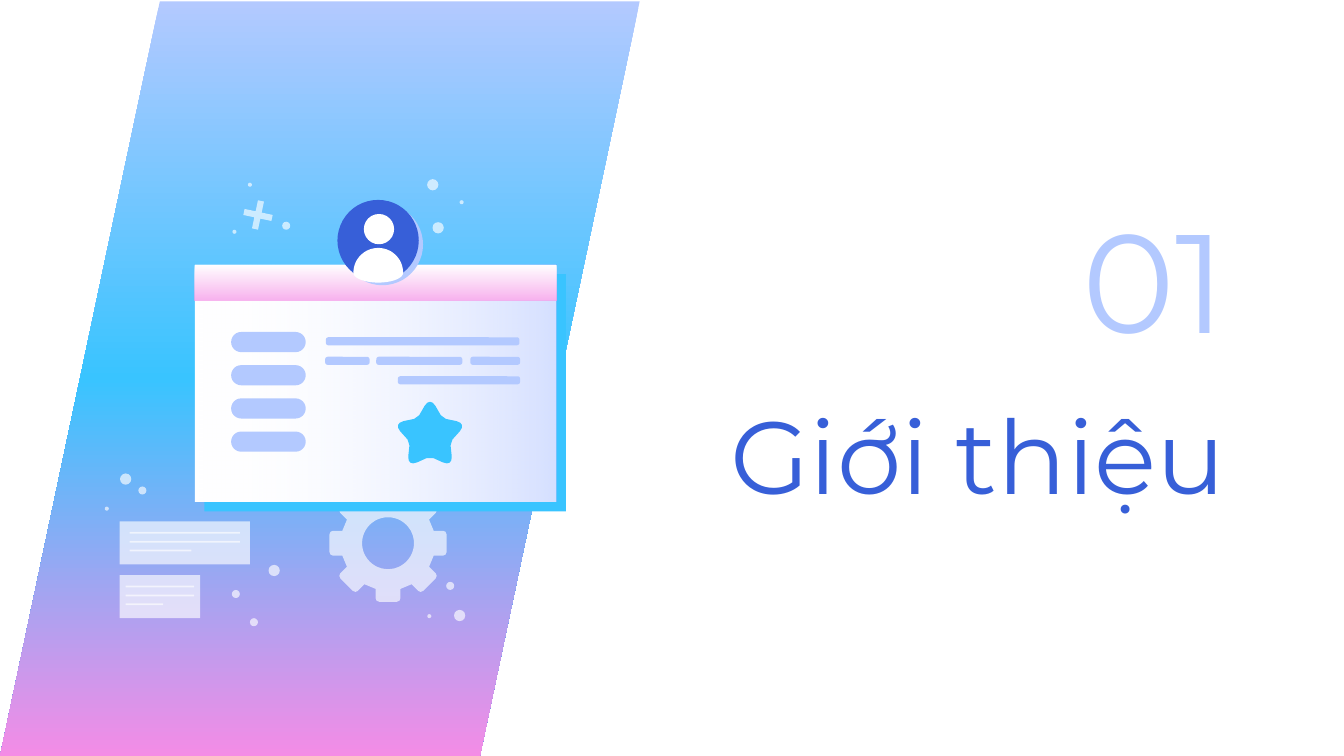
from math import cos, pi, radians, sin

from pptx import Presentation
from pptx import util as u
from pptx.dml.color import RGBColor
from pptx.enum import shapes, text
from pptx.oxml import parse_xml
from pptx.oxml.ns import nsdecls, qn

WHITE, VEIL, CLEAR = "FFFFFF", "FFFFFF/65", "FFFFFF/0"
LAVENDER, CYAN, BLUE, PINK = "B3C9FF", "39C4FF", "375FD8", "F48CE6"
CELL = u.Inches(0.1)


def cells(*lengths):
    """Turn grid columns or rows into slide lengths."""
    return [u.Emu(round(length * CELL)) for length in lengths]


def colour(code):
    """Build a colour element from 'RRGGBB' or 'RRGGBB/opacity'."""
    value, _, opacity = code.partition("/")
    alpha = f'<a:alpha val="{int(opacity) * 1000}"/>' if opacity else ""
    return parse_xml(f'<a:srgbClr {nsdecls("a")} val="{value}">{alpha}</a:srgbClr>')


def arc(x, y, width, height, start=0, end=360, steps=48):
    """List points along an ellipse, clockwise in degrees."""
    angles = [radians(start + (end - start) * step / steps) for step in range(steps + 1)]
    return [(x + width * cos(angle), y + height * sin(angle)) for angle in angles]


def radial(x, y, count, profile, turn=0):
    """Repeat a (sideways, outward) profile around a centre."""
    points = []
    for index in range(count):
        angle = radians(turn) + 2 * pi * index / count
        points += [(x + side * cos(angle) + out * sin(angle),
                    y + side * sin(angle) - out * cos(angle)) for side, out in profile]
    return points


def write(shape, content, size, code, font="Montserrat", anchor=text.MSO_ANCHOR.TOP):
    """Fill a shape with one right-aligned formatted paragraph."""
    frame = shape.text_frame
    frame.word_wrap, frame.auto_size = True, text.MSO_AUTO_SIZE.NONE
    frame.vertical_anchor = anchor
    frame.margin_left = frame.margin_right = frame.margin_top = frame.margin_bottom = CELL
    paragraph = frame.paragraphs[0]
    paragraph.alignment = text.PP_ALIGN.RIGHT
    run = paragraph.add_run()
    run.text = content
    run.font.size, run.font.name = u.Pt(size), font
    run.font.color.rgb = RGBColor.from_string(code)


class Canvas:
    """Draw flat, lineless elements on one slide."""

    def __init__(self, slide):
        """Keep the slide to draw on."""
        self.slide = slide

    def paint(self, shape, *codes, angle=0):
        """Fill a shape with one colour or an even gradient."""
        shape.shadow.inherit = False
        shape.line.fill.background()
        if len(codes) == 1:
            shape.fill.solid()
            shape.fill.fore_color.rgb = RGBColor.from_string(codes[0][:6])
            fill = shape._element.spPr.find(qn("a:solidFill"))
            fill.replace(fill[0], colour(codes[0]))
            return
        shape.fill.gradient()
        shape.fill.gradient_angle = -angle % 360
        stops = shape._element.spPr.find(qn("a:gradFill")).find(qn("a:gsLst"))
        for stop in list(stops):
            stops.remove(stop)
        for index, code in enumerate(codes):
            position = round(100000 * index / (len(codes) - 1))
            stop = parse_xml(f'<a:gs {nsdecls("a")} pos="{position}"/>')
            stop.append(colour(code))
            stops.append(stop)

    def preset(self, kind, box, *codes, angle=0, adjust=None):
        """Add a preset shape in a grid box."""
        shape = self.slide.shapes.add_shape(kind, *cells(*box))
        if adjust is not None:
            shape.adjustments[0] = adjust
        self.paint(shape, *codes, angle=angle)

    def panel(self, box, *codes, angle=0):
        """Add a rectangle."""
        self.preset(shapes.MSO_SHAPE.RECTANGLE, box, *codes, angle=angle)

    def bar(self, box, code, adjust=0.5):
        """Add a rounded bar."""
        self.preset(shapes.MSO_SHAPE.ROUNDED_RECTANGLE, box, code, adjust=adjust)

    def disc(self, x, y, diameter, code):
        """Add a circle around a centre."""
        box = x - diameter / 2, y - diameter / 2, diameter, diameter
        self.preset(shapes.MSO_SHAPE.OVAL, box, code)

    def outline(self, code, *contours):
        """Add a freeform made of closed contours."""
        first, *others = [[cells(*point) for point in contour] for contour in contours]
        builder = self.slide.shapes.build_freeform(*first[0])
        builder.add_line_segments(first[1:], close=True)
        for contour in others:
            builder.move_to(*contour[0])
            builder.add_line_segments(contour[1:], close=True)
        self.paint(builder.convert_to_shape(), code)

    def title(self, box, content, **style):
        """Move and format the title placeholder."""
        shape = self.slide.shapes.title
        shape.left, shape.top, shape.width, shape.height = cells(*box)
        write(shape, content, **style)

    def label(self, box, content, **style):
        """Add a text box."""
        write(self.slide.shapes.add_textbox(*cells(*box)), content, **style)


def draw_background(canvas):
    """Draw the gear, notes and sparkles behind the card."""
    canvas.preset(shapes.MSO_SHAPE.PARALLELOGRAM, (0, 0.1, 47.6, 56.2),
                  LAVENDER, CYAN, PINK, angle=90, adjust=0.25)
    tooth = [(-0.92, 3.4), (-0.92, 4.1), (-0.85, 4.28), (-0.65, 4.36),
             (0.65, 4.36), (0.85, 4.28), (0.92, 4.1), (0.92, 3.4)]
    canvas.outline(VEIL, radial(28.87, 40.42, 8, tooth), arc(28.87, 40.42, 1.93, 1.93))
    for top, width, line_widths in [(38.8, 9.7, (8.2, 8.2, 4.6)), (42.8, 6, (5.1, 5.1, 2.8))]:
        canvas.panel((8.9, top, width, 3.2), VEIL)
        margin = (width - line_widths[0]) / 2
        for row, line_width in enumerate(line_widths):
            canvas.panel((8.9 + margin, top + 0.78 + 0.66 * row, line_width, 0.13), VEIL)
    sparkles = {
        0.3: [(31.95, 45.85), (7.95, 37.85), (34.35, 15.05), (17.45, 17.25), (18.6, 13.75)],
        0.6: [(33.5, 43.6), (10.6, 36.5), (18.9, 46.3), (17.55, 44.2), (21.3, 16.8)],
        0.84: [(34.2, 45.8), (9.35, 35.65), (20.4, 42.45), (32.6, 16.95), (32.2, 13.75)],
    }
    for diameter, centres in sparkles.items():
        for x, y in centres:
            canvas.disc(x, y, diameter, VEIL)
    arm = [(-0.23, 0.23), (-0.23, 1.07), (0.23, 1.07)]
    canvas.outline(VEIL, radial(19.2, 16, 4, arm, turn=12))


def draw_card(canvas):
    """Draw the profile card with its bars, star and avatar."""
    card = 14.5, 19.7, 26.9, 17.65
    header = *card[:3], 2.65
    canvas.panel((15.2, 20.4, *card[2:]), CYAN)
    canvas.panel(card, WHITE)
    canvas.panel(card, CLEAR, "4A77FF/23")
    canvas.panel(header, WHITE)
    for row in range(4):
        canvas.bar((17.2, 24.7 + 2.47 * row, 5.55, 1.5), LAVENDER)
    for left, top, width in [(24.25, 25.1, 14.4), (24.2, 26.55, 3.3), (28, 26.55, 6.4),
                             (35, 26.55, 3.7), (29.6, 28, 9.1)]:
        canvas.bar((left, top, width, 0.6), LAVENDER, adjust=0.3)
    tip = [(-0.8, 1.5), (-0.4, 2.2), (-0.2, 2.43), (0, 2.5), (0.2, 2.43), (0.4, 2.2), (0.8, 1.5)]
    canvas.outline(CYAN, radial(32, 32.4, 5, tip))
    canvas.panel(header, VEIL, PINK + "/65", angle=90)
    canvas.disc(28.45, 18.2, 6.05, LAVENDER)
    canvas.disc(28.13, 17.9, 6.05, BLUE)
    canvas.disc(28.2, 17.05, 2.25, WHITE)
    canvas.outline(WHITE, arc(28.15, 20.3, 1.85, 1.85, 180, 360) + arc(28.15, 20.3, 1.85, 0.73, 0, 180))


def main():
    """Build and save the section slide."""
    presentation = Presentation()
    presentation.slide_width, presentation.slide_height = cells(100, 56.25)
    canvas = Canvas(presentation.slides.add_slide(presentation.slide_layouts[5]))
    draw_background(canvas)
    canvas.title((50, 28.75, 42.2, 10.6), "Giới thiệu", size=55, code=BLUE,
                 anchor=text.MSO_ANCHOR.BOTTOM)
    canvas.label((75.2, 13.4, 17, 15.2), "01", size=75, code=LAVENDER)
    draw_card(canvas)
    presentation.save("out.pptx")


if __name__ == "__main__":
    main()
